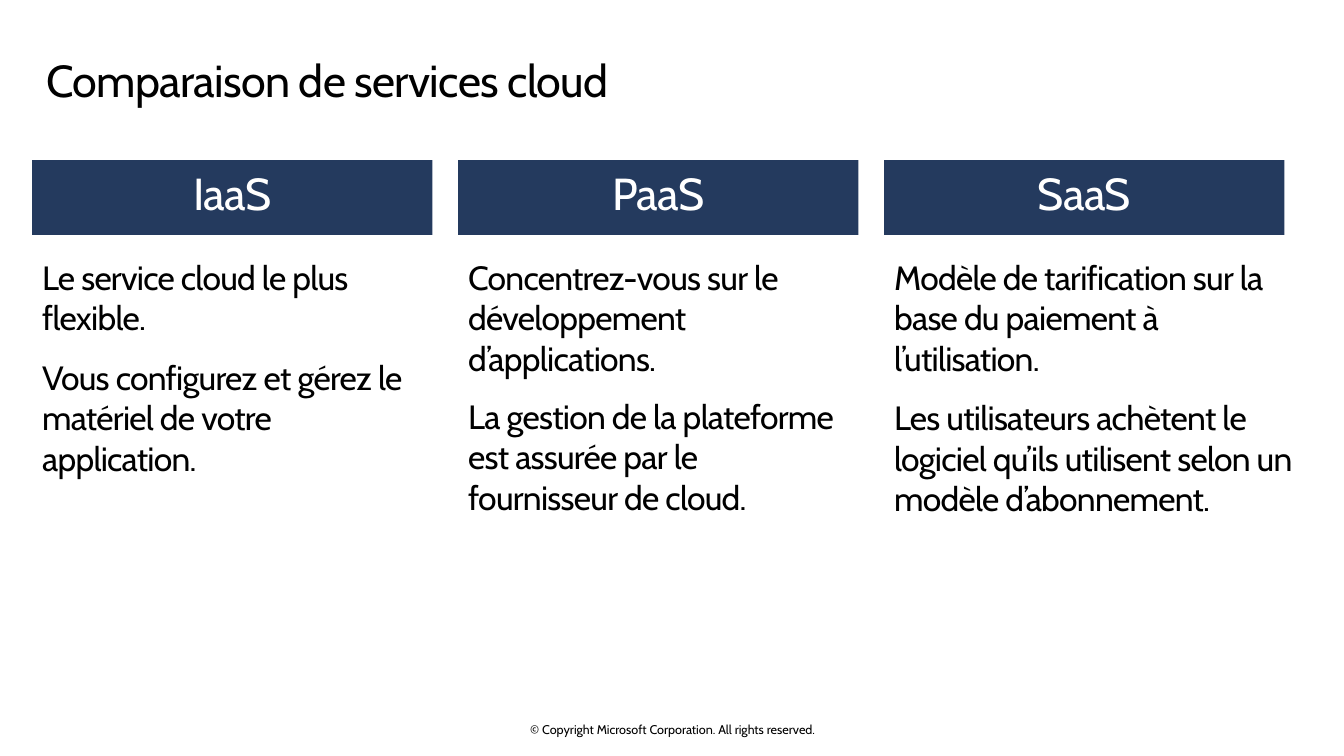
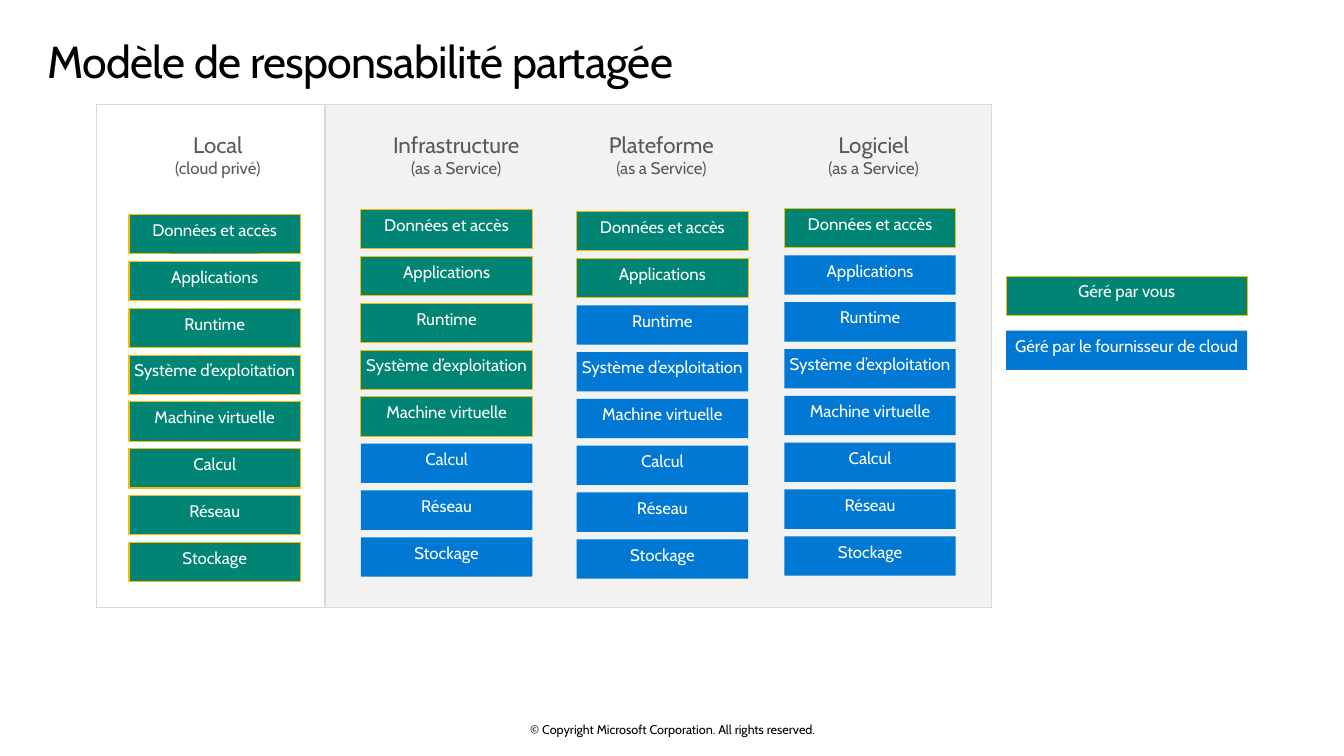
from pptx import Presentation
from pptx.dml.color import RGBColor
from pptx.enum.shapes import MSO_SHAPE as Shape
from pptx.enum.text import MSO_ANCHOR as Anchor, MSO_AUTO_SIZE as Fit, PP_ALIGN as Align
from pptx.oxml.ns import qn
from pptx.util import Inches, Pt

FONT = "Cabin"
BLACK, WHITE, GREY = "000000", "FFFFFF", "595959"
NAVY, GREEN, BLUE, GOLD = "243A5E", "008575", "0078D4", "F9BC00"
PANEL, EDGE = "F2F2F2", "D9D9D9"
WIDE, HIGH = 13.33, 7.5
FOOTER = "© Copyright Microsoft Corporation. All rights reserved."

# Heading, first text, then second text with its top and width
SERVICES = [
    ("IaaS", "Le service cloud le plus flexible.",
     "Vous configurez et gérez le matériel de votre application.", 3.49, 3.83),
    ("PaaS", "Concentrez-vous sur le développement d’applications.",
     "La gestion de la plateforme est assurée par le fournisseur de cloud.", 3.88, 3.95),
    ("SaaS", "Modèle de tarification sur la base du paiement à l’utilisation.",
     "Les utilisateurs achètent le logiciel qu’ils utilisent selon un modèle d’abonnement.",
     3.89, 4.34),
]
CARD_X, CARD_STEP, CARD_W = 0.32, 4.225, 3.97

LAYERS = ["Données et accès", "Applications", "Runtime", "Système d’exploitation",
          "Machine virtuelle", "Calcul", "Réseau", "Stockage"]
# Name, note, heading left and width, stack left and top, layers run by you
MODELS = [
    ("Local", "(cloud privé)", 1.19, 1.94, 1.28, 2.13, 8),
    ("Infrastructure", "(as a Service)", 3.43, 2.19, 3.58, 2.08, 5),
    ("Plateforme", "(as a Service)", 5.52, 2.08, 5.72, 2.1, 2),
    ("Logiciel", "(as a Service)", 7.61, 2.11, 7.78, 2.07, 1),
]
TILE_W, TILE_H = 1.7, 0.39
TILE_STEP = 3.25 / (len(LAYERS) - 1)
PANELS = [(3.23, 6.6, PANEL), (0.96, 2.26, None)]
LEGEND = [("Géré par vous", 2.74, True), ("Géré par le fournisseur de cloud", 3.28, False)]


def rgb(code):
    return RGBColor.from_string(code)


def write(shape, lines, color=BLACK, align=Align.LEFT, pads=(0.1, 0.05, 0.1, 0.05),
          anchor=Anchor.TOP, track=0):
    """Fill a shape with (text, size) lines; track is letter spacing in points."""
    frame = shape.text_frame
    frame.word_wrap, frame.auto_size = True, Fit.NONE
    frame.vertical_anchor = anchor
    (frame.margin_left, frame.margin_top,
     frame.margin_right, frame.margin_bottom) = map(Inches, pads)
    frame.text = "\n".join(text for text, _ in lines)
    for para, (_, size) in zip(frame.paragraphs, lines):
        para.alignment = align
        font = para.font
        font.name, font.size = FONT, Pt(size)
        font.color.rgb = rgb(color)
        if track:
            para._p.pPr.find(qn("a:defRPr")).set("spc", str(int(track * 100)))
    return frame


def label(slide, box, lines, **style):
    write(slide.shapes.add_textbox(*map(Inches, box)), lines, **style)


def block(slide, box, fill=None, line=None):
    shape = slide.shapes.add_shape(Shape.RECTANGLE, *map(Inches, box))
    shape.shadow.inherit = False
    if fill:
        shape.fill.solid()
        shape.fill.fore_color.rgb = rgb(fill)
    else:
        shape.fill.background()
    if line:
        shape.line.color.rgb = rgb(line)
        shape.line.width = Pt(0.75)
    else:
        shape.line.fill.background()
    return shape


def tile(slide, text, left, top, width, yours):
    """Draw a layer, green when you run it and blue when the provider does."""
    shape = block(slide, (left, top, width, TILE_H),
                  GREEN if yours else BLUE, GOLD if yours else None)
    write(shape, [(text, 12)], color=WHITE, align=Align.CENTER, pads=(0, 0.05, 0, 0.05))


def start(deck, title, left, top):
    """Add a slide with the shared title style and footer."""
    slide = deck.slides.add_slide(deck.slide_layouts[5])
    head = slide.shapes.title
    head.left, head.top, head.width, head.height = map(Inches, (left, top, 12.4, 0.74))
    frame = write(head, [(title, 32)], pads=(0, 0.1, 0.16, 0.1), track=-0.5)
    frame.paragraphs[0].line_spacing = 0.9
    label(slide, (4.42, 7.16, 4.5, 0.15), [(FOOTER, 9)], align=Align.CENTER,
          pads=(0, 0, 0, 0), anchor=Anchor.MIDDLE)
    return slide


def compare(deck):
    slide = start(deck, "Comparaison de services cloud", 0.46, 0.48)
    for col, (name, first, second, top, width) in enumerate(SERVICES):
        left = CARD_X + col * CARD_STEP
        band = block(slide, (left, 1.59, CARD_W, 0.74), NAVY)
        write(band, [(name, 32)], color=WHITE, align=Align.CENTER, track=-0.5)
        label(slide, (left, 2.5, 3.95, 0.85), [(first, 24)], track=-0.5)
        label(slide, (left, top, width, 0.85), [(second, 24)], track=-0.5)


def share(deck):
    slide = start(deck, "Modèle de responsabilité partagée", 0.47, 0.29)
    for left, width, fill in PANELS:
        block(slide, (left, 1.04, width, 4.99), fill, EDGE)
    for name, note, head_x, head_w, left, top, yours in MODELS:
        label(slide, (head_x, 1.3, head_w, 0.65), [(name, 16), (note, 12)],
              color=GREY, align=Align.CENTER, pads=(0, 0, 0, 0))
        for row, text in enumerate(LAYERS):
            tile(slide, text, left, top + row * TILE_STEP, TILE_W, row < yours)
    for text, top, yours in LEGEND:
        tile(slide, text, 9.98, top, 2.39, yours)


def main():
    deck = Presentation()
    deck.slide_width, deck.slide_height = Inches(WIDE), Inches(HIGH)
    compare(deck)
    share(deck)
    deck.save("out.pptx")


if __name__ == "__main__":
    main()
